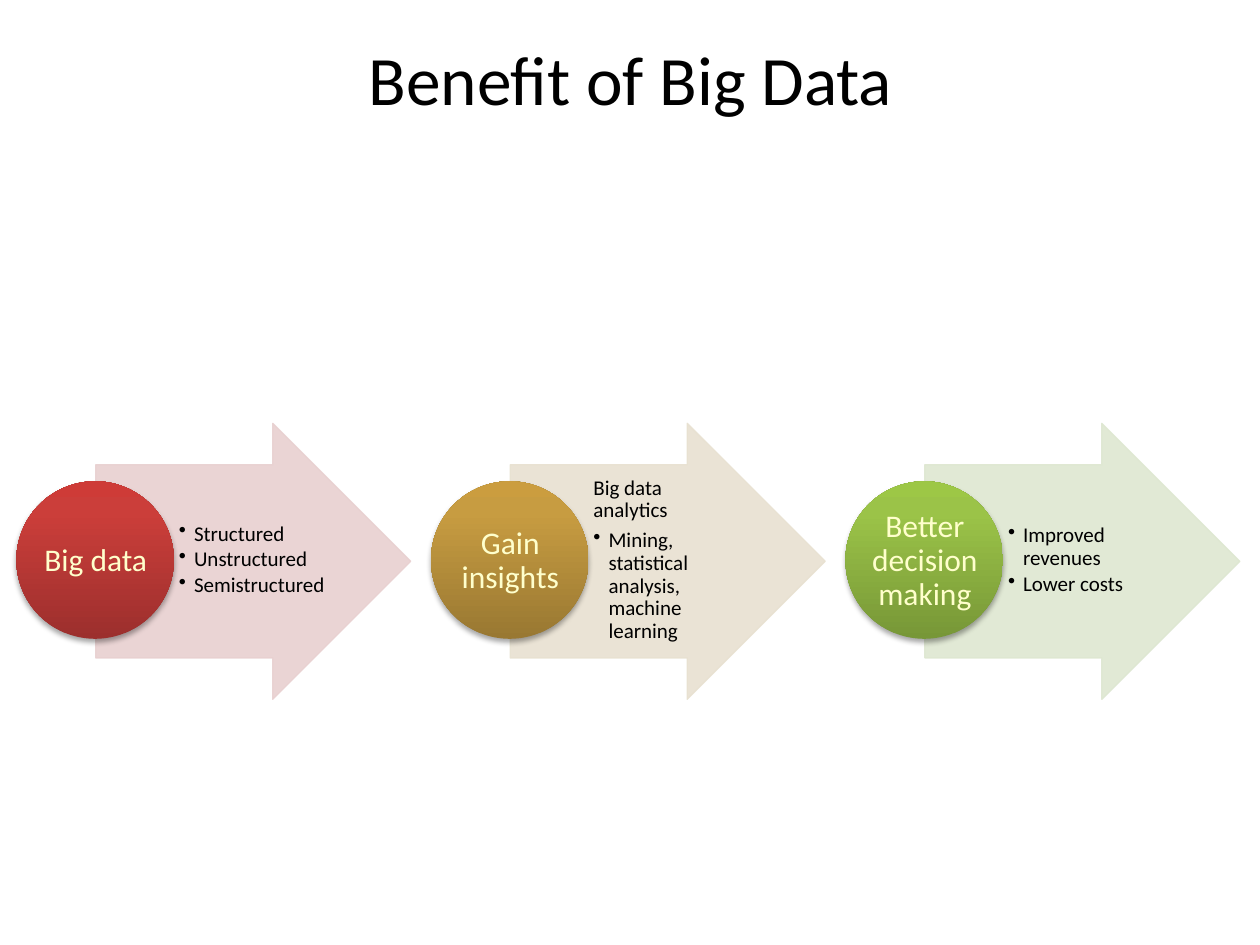
from copy import deepcopy

from lxml.etree import SubElement
from pptx import Presentation
from pptx.dml.color import RGBColor as RGB
from pptx.enum.shapes import MSO_SHAPE as Kind
from pptx.enum.text import MSO_ANCHOR as Anchor, MSO_AUTO_SIZE as Fit, PP_ALIGN as Align
from pptx.oxml.ns import qn
from pptx.util import Inches, Pt

BLACK = RGB(0x00, 0x00, 0x00)
CREAM = RGB(0xFF, 0xFF, 0xCC)
# Each theme: arrow tint, then the ball's gradient from bottom to top
RED = (RGB(0xE8, 0xD0, 0xD0), RGB(0x9C, 0x2F, 0x2D), RGB(0xCB, 0x3E, 0x3A), RGB(0xCE, 0x3B, 0x37))
GOLD = (RGB(0xE8, 0xE1, 0xD1), RGB(0x99, 0x78, 0x32), RGB(0xC7, 0x9C, 0x41), RGB(0xCB, 0x9D, 0x3F))
GREEN = (RGB(0xDE, 0xE7, 0xD1), RGB(0x77, 0x97, 0x37), RGB(0x9B, 0xC3, 0x48), RGB(0x9D, 0xC7, 0x46))

COLS, ROWS = 100, 75
STEP = 32.9  # columns from one stage to the next

# Label, theme, lines as (text, has bullet)
STAGES = [
    ("Big data", RED,
     [("Structured", True), ("Unstructured", True), ("Semistructured", True)]),
    ("Gain insights", GOLD,
     [("Big data analytics", False),
      ("Mining, statistical analysis, machine learning", True)]),
    ("Better decision making", GREEN,
     [("Improved revenues", True), ("Lower costs", True)]),
]


def write(para, text, size=12, color=BLACK, align=Align.LEFT, line=0.9, after=0, bullet=False):
    """Fill one paragraph with formatted text."""
    run = para.add_run()
    run.text = text
    run.font.name, run.font.size = "Calibri", Pt(size)
    run.font.color.rgb = color
    para.alignment, para.line_spacing, para.space_after = align, line, Pt(after)
    if bullet:
        para.level = 1
        prop = para._p.get_or_add_pPr()
        prop.set("marL", str(Inches(0.12)))
        prop.set("indent", str(-Inches(0.12)))
        SubElement(prop, qn("a:buChar"), char="•")


class Board:
    def __init__(self, deck):
        self.wide, self.high = deck.slide_width, deck.slide_height
        self.slide = deck.slides.add_slide(deck.slide_layouts[5])
        self.shapes = self.slide.shapes

    def place(self, x, y, w, h):
        """Turn grid columns and rows into lengths."""
        col, row = self.wide / COLS, self.high / ROWS
        return int(x * col), int(y * row), int(w * col), int(h * row)

    def title(self, text, *box):
        hold = self.shapes.title
        hold.left, hold.top, hold.width, hold.height = self.place(*box)
        frame = hold.text_frame
        frame.auto_size, frame.vertical_anchor = Fit.NONE, Anchor.MIDDLE
        write(frame.paragraphs[0], text, size=39.6, align=Align.CENTER, line=1.0)

    def arrow(self, tint, *box):
        shape = self.shapes.add_shape(Kind.RIGHT_ARROW, *self.place(*box))
        shape.adjustments[0], shape.adjustments[1] = 0.7, 0.5
        shape.shadow.inherit = False
        shape.fill.solid()
        shape.line.width = Pt(0.75)
        shape.line.fill.solid()
        for fill in (shape.fill, shape.line.fill):
            fill.fore_color.rgb = tint
        for color in shape._element.spPr.iter(qn("a:srgbClr")):
            SubElement(color, qn("a:alpha"), val="90000")

    def ball(self, tones, *box):
        shape = self.shapes.add_shape(Kind.OVAL, *self.place(*box))
        shape.line.fill.background()
        # Three-stop gradient, dark at the bottom
        shape.fill.gradient()
        shape.fill.gradient_angle = 90
        stops = shape._element.spPr.find(".//" + qn("a:gsLst"))
        stops.append(deepcopy(stops[0]))
        for stop, tone, spot in zip(shape.fill.gradient_stops, tones, (0, 0.8, 1)):
            stop.color.rgb, stop.position = tone, spot
        # Soft shadow below
        shape.shadow.inherit = False
        effect = shape._element.spPr.find(qn("a:effectLst"))
        shade = SubElement(effect, qn("a:outerShdw"), blurRad=str(Pt(3.1)), dist=str(Pt(1.8)),
                           dir="5400000", rotWithShape="0")
        color = SubElement(shade, qn("a:srgbClr"), val="000000")
        SubElement(color, qn("a:alpha"), val="35000")

    def text(self, lines, box, pads=(0.01, 0.01), **style):
        frame = self.shapes.add_textbox(*self.place(*box)).text_frame
        frame.word_wrap, frame.vertical_anchor = True, Anchor.MIDDLE
        frame.margin_left, frame.margin_right = map(Inches, pads)
        frame.margin_top = frame.margin_bottom = Inches(0.01)
        for i, (text, more) in enumerate(lines):
            para = frame.add_paragraph() if i else frame.paragraphs[0]
            write(para, text, **{**style, **more})

    def stage(self, x, label, theme, notes):
        """Draw an arrow with its notes, and a labelled ball at its tail."""
        tint, *tones = theme
        self.arrow(tint, x + 6.3, 33.6, 25, 21.9)
        lines = [(note, {"bullet": dot, "after": 1.8 if dot else 4.2}) for note, dot in notes]
        self.text(lines, (x + 12.6, 36.8, 12.2, 15.3), pads=(0.03, 0.02))
        self.ball(tones, x, 38.2, 12.5, 12.5)
        self.text([(label, {})], (x + 1.85, 40.1, 8.9, 8.9),
                  size=18, color=CREAM, align=Align.CENTER)


def main():
    deck = Presentation()
    deck.slide_width, deck.slide_height = Inches(10), Inches(7.5)
    board = Board(deck)
    board.title("Benefit of Big Data", 4.2, 2.5, 91.7, 7.4)
    # Three stages, left to right
    for i, stage in enumerate(STAGES):
        board.stage(1.3 + i * STEP, *stage)
    deck.save("out.pptx")


if __name__ == "__main__":
    main()
